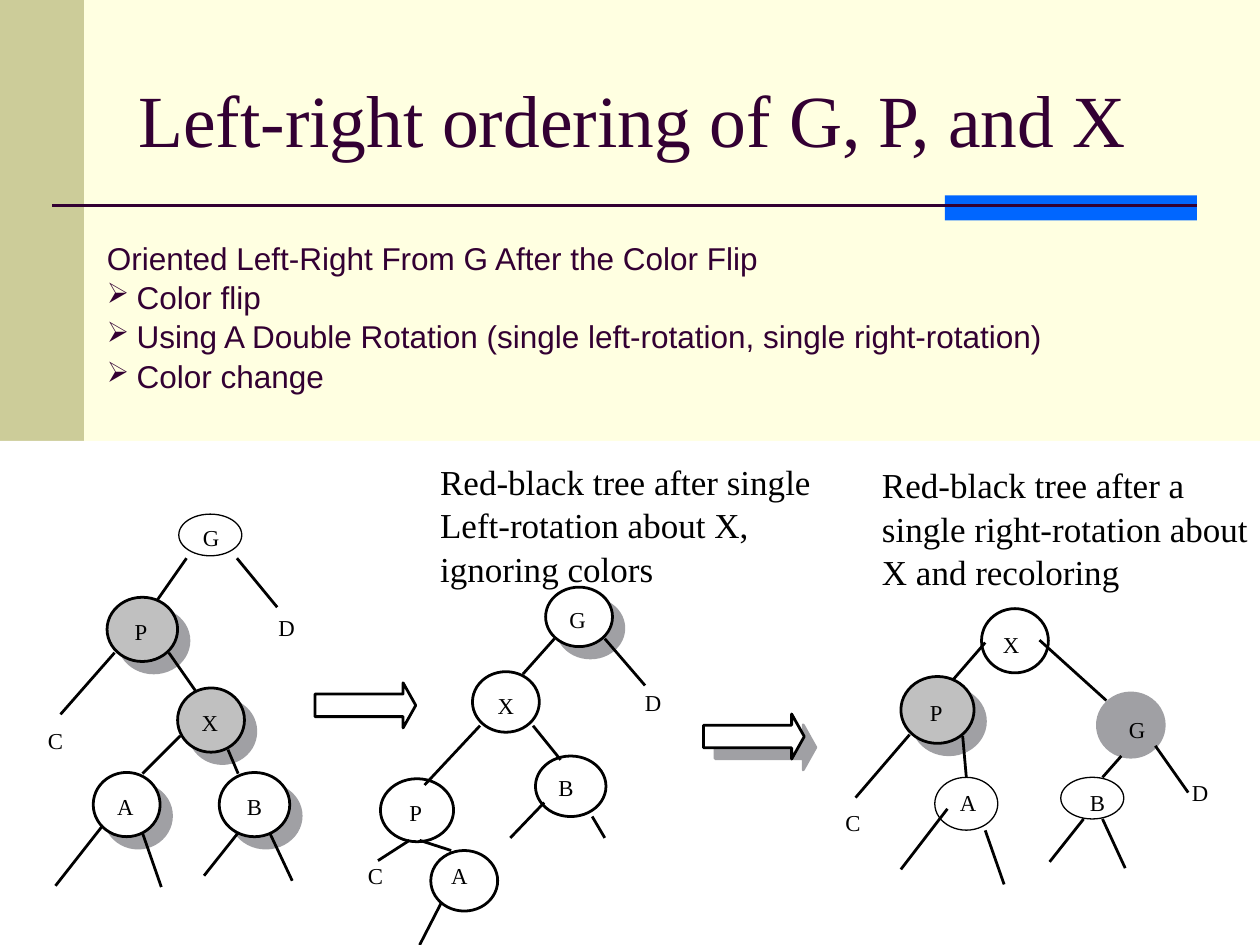
"""Build a slide on red-black tree rotation with three linked trees."""
from lxml.etree import SubElement
from pptx import Presentation
from pptx.dml.color import RGBColor
from pptx.enum.shapes import MSO_CONNECTOR, MSO_SHAPE
from pptx.enum.text import MSO_ANCHOR, MSO_AUTO_SIZE
from pptx.oxml.ns import qn
from pptx.util import Pt

COLORS = {
    "cream": "FFFFE1", "olive": "CCCC99", "blue": "0066FF", "plum": "330033",
    "white": "FFFFFF", "black": "000000", "gray": "C0C0C0", "shade": "A0A0A4",
}
SERIF, SANS = "Times New Roman", "Arial"
STROKE, DROP = 1.6, 6.5
WIDTHS = {"P": 7.2, "B": 8.7, "C": 8.7}
STYLES = {
    "thin": {"line": "black", "weight": 0.75},
    "plain": {"line": "black"},
    "white": {"fill": "white", "line": "black"},
    "raised": {"fill": "white", "line": "black", "drop": True},
    "gray": {"fill": "gray", "line": "black", "drop": True},
    "shade": {"fill": "shade", "line": "shade"},
}

LEFT_TREE = {
    "nodes": [
        ("raised", 125.3, 441.4, 40.3, 36.7), ("raised", 53.3, 441.4, 38.2, 36.7),
        ("gray", 101.5, 393.1, 38.2, 36.7), ("gray", 61.2, 341.3, 40.3, 36.7),
        ("thin", 102.2, 293.8, 36, 23.8),
    ],
    "edges": [
        (81.4, 442.1, 103, 420.5), (130.3, 428.4, 136.1, 442.1),
        (31.7, 506.2, 58.3, 472.3), (81.4, 475.9, 92.2, 506.9),
        (116.6, 500.4, 136.1, 475.9), (154.1, 475.9, 167, 503.3),
        (90, 342.7, 106.6, 319), (96.5, 373, 111.6, 394.6),
        (34.6, 408.2, 65.5, 373), (135.4, 319, 158.4, 347),
    ],
    "names": [
        ("B", 141.1, 452.2), ("A", 67, 452.2), ("X", 115.2, 404.6),
        ("G", 115.9, 298.8), ("P", 77, 352.1), ("C", 27.4, 414.7),
        ("D", 159.1, 349.9),
    ],
}
MID_TREE = {
    "nodes": [
        ("plain", 306, 432, 40.3, 34.6), ("plain", 246.2, 486, 38.2, 34.6),
        ("white", 270, 383.8, 38.2, 34.6), ("raised", 311.8, 335.5, 38.2, 34),
        ("plain", 217.4, 445, 41.8, 36),
    ],
    "edges": [
        (291.6, 478.8, 311, 458.6), (338.4, 466.6, 345.6, 478.8),
        (239.8, 540, 252, 516.2), (239.8, 480.2, 257.8, 486),
        (298.8, 385.2, 316.8, 365), (304.6, 414.7, 320.4, 434.2),
        (242.6, 448.6, 274.3, 414.7), (345.6, 365, 368.6, 391.7),
        (216, 491.8, 234, 480.2),
    ],
    "names": [
        ("B", 319, 441.4), ("A", 257.8, 491.8), ("X", 284.4, 394.6),
        ("G", 325.4, 345.6), ("P", 234, 455.8), ("C", 210.2, 491.8),
        ("D", 368.6, 393.1),
    ],
}
RIGHT_TREE = {
    "nodes": [
        ("white", 560.9, 347.8, 38.2, 36.7), ("shade", 627.1, 396, 38.2, 36.7),
        ("gray", 514.8, 386.6, 41.8, 38.2), ("thin", 534.2, 444.2, 36, 30.2),
        ("thin", 606.2, 444.2, 36, 23.8),
    ],
    "edges": [
        (630, 444.2, 640.8, 432), (514.8, 496.8, 541.4, 462.2),
        (563, 474.5, 573.8, 505.4), (599.8, 492.5, 619.2, 468),
        (630, 468, 643, 496.1), (544.3, 388.8, 563, 367.2),
        (550.1, 420.5, 552.2, 444.2), (488.9, 455.8, 519.8, 419.8),
        (594, 365.8, 632.2, 400.3), (660.2, 426.2, 679, 452.9),
    ],
    "names": [
        ("B", 622.8, 450), ("A", 548.6, 450), ("X", 573.1, 360),
        ("G", 645.1, 408.2), ("P", 531.4, 398.9), ("C", 483.1, 461.5),
        ("D", 681.1, 444.2),
    ],
}


def tint(name):
    """Return the named colour."""
    return RGBColor.from_string(COLORS[name])


def add_form(slide, kind, x, y, w, h, fill=None, line=None, weight=STROKE):
    """Add a preset shape with the given fill and outline."""
    form = slide.shapes.add_shape(kind, Pt(x), Pt(y), Pt(w), Pt(h))
    form.shadow.inherit = False
    if fill:
        form.fill.solid()
        form.fill.fore_color.rgb = tint(fill)
    else:
        form.fill.background()
    if line:
        form.line.color.rgb = tint(line)
        form.line.width = Pt(weight)
    else:
        form.line.fill.background()
    return form


def add_line(slide, x1, y1, x2, y2, color="black", weight=STROKE):
    """Add a straight line without a shadow."""
    line = slide.shapes.add_connector(
        MSO_CONNECTOR.STRAIGHT, Pt(x1), Pt(y1), Pt(x2), Pt(y2))
    line.line.color.rgb = tint(color)
    line.line.width = Pt(weight)
    SubElement(line._element.spPr, qn("a:effectLst"))


def add_bullet(para):
    """Give a paragraph an arrow bullet with a hanging indent."""
    props = para._p.get_or_add_pPr()
    props.set("marL", str(Pt(17)))
    props.set("indent", str(-Pt(17)))
    color = SubElement(props, qn("a:buClr"))
    SubElement(color, qn("a:srgbClr"), val=COLORS["plum"])
    SubElement(props, qn("a:buSzPct"), val="90000")
    SubElement(props, qn("a:buChar"), char="➢")


def add_text(slide, text, x, y, w, h, size=13, font=SERIF, color="black",
             pad=(0, 0), wrap=True, grow=True, anchor=MSO_ANCHOR.TOP, bullets=False):
    """Add a text box; each line is a paragraph, bulleted after the first."""
    frame = slide.shapes.add_textbox(Pt(x), Pt(y), Pt(w), Pt(h)).text_frame
    frame.margin_left = frame.margin_right = Pt(pad[0])
    frame.margin_top = frame.margin_bottom = Pt(pad[1])
    frame.word_wrap = wrap
    frame.auto_size = MSO_AUTO_SIZE.SHAPE_TO_FIT_TEXT if grow else MSO_AUTO_SIZE.NONE
    frame.vertical_anchor = anchor
    frame.text = text
    for rank, para in enumerate(frame.paragraphs):
        para.line_spacing = 1.04
        if bullets and rank:
            add_bullet(para)
        para.font.size = Pt(size)
        para.font.name = font
        para.font.color.rgb = tint(color)


def add_node(slide, style, x, y, w, h):
    """Add a tree node, with a drop disc behind it if its style asks."""
    look = dict(STYLES[style])
    if look.pop("drop", False):
        add_form(slide, MSO_SHAPE.OVAL, x + DROP, y + DROP, w, h, "shade", "shade")
    add_form(slide, MSO_SHAPE.OVAL, x, y, w, h, **look)


def add_tree(slide, tree):
    """Add the nodes, edges and names of one tree."""
    for node in tree["nodes"]:
        add_node(slide, *node)
    for edge in tree["edges"]:
        add_line(slide, *edge)
    for name, x, y in tree["names"]:
        add_text(slide, name, x, y, WIDTHS.get(name, 9.4), 15.8, wrap=False)


def add_arrow(slide, x, y, fill="white", line="black"):
    """Add a block arrow that points to the next tree."""
    arrow = add_form(slide, MSO_SHAPE.RIGHT_ARROW, x, y, 57.6, 25.8, fill, line)
    arrow.adjustments[0] = 0.5
    arrow.adjustments[1] = 0.28


def main():
    """Build and save the slide."""
    deck = Presentation()
    deck.slide_width, deck.slide_height = Pt(720), Pt(540)
    slide = deck.slides.add_slide(deck.slide_layouts[6])
    slide.background.fill.solid()
    slide.background.fill.fore_color.rgb = tint("cream")

    add_form(slide, MSO_SHAPE.RECTANGLE, 0, 0, 48, 384, "olive")
    add_form(slide, MSO_SHAPE.RECTANGLE, 540, 111.6, 144, 14.4, "blue")
    add_line(slide, 30, 117.6, 684, 117.6, "plum", 1.5)
    add_text(slide, "Left-right ordering of G, P, and X", 72, 21.6, 612, 90,
             size=42, color="plum", pad=(7.2, 3.6), grow=False,
             anchor=MSO_ANCHOR.MIDDLE)
    add_text(slide, "Oriented Left-Right From G After the Color Flip\nColor flip\n"
             "Using A Double Rotation (single left-rotation, single right-rotation)\n"
             "Color change", 54, 132, 570, 93.6, size=18, font=SANS, color="plum",
             pad=(7.2, 3.6), bullets=True)

    add_form(slide, MSO_SHAPE.RECTANGLE, 0, 252, 720, 288, "white")
    add_arrow(slide, 408.6, 414.2, "shade", "shade")
    add_arrow(slide, 402, 408)
    add_arrow(slide, 180, 390.2)
    add_text(slide, "Red-black tree after single\nLeft-rotation about X,\nignoring colors",
             251.5, 262, 216.7, 72, size=20, wrap=False)
    add_text(slide, "Red-black tree after a single right-rotation about X and recoloring",
             504, 264, 216, 72, size=20)
    for tree in (LEFT_TREE, MID_TREE, RIGHT_TREE):
        add_tree(slide, tree)
    deck.save("out.pptx")


if __name__ == "__main__":
    main()
